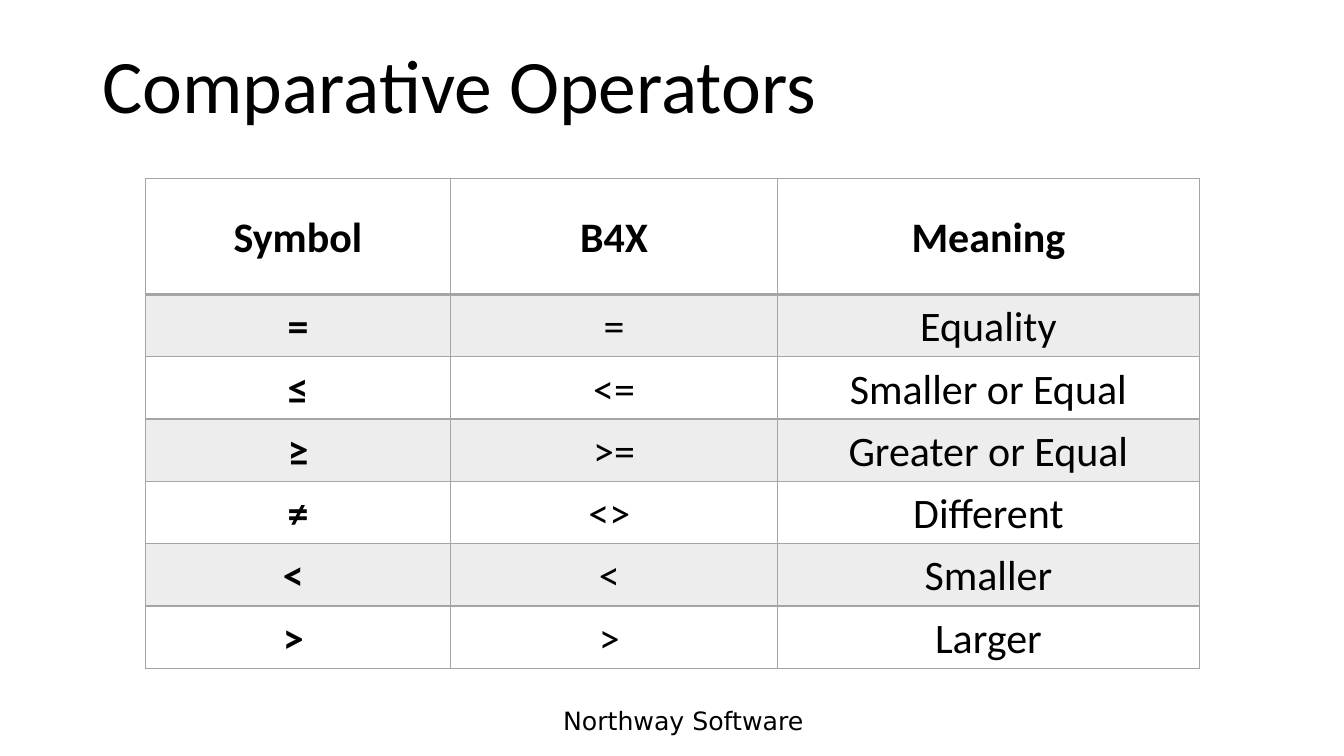
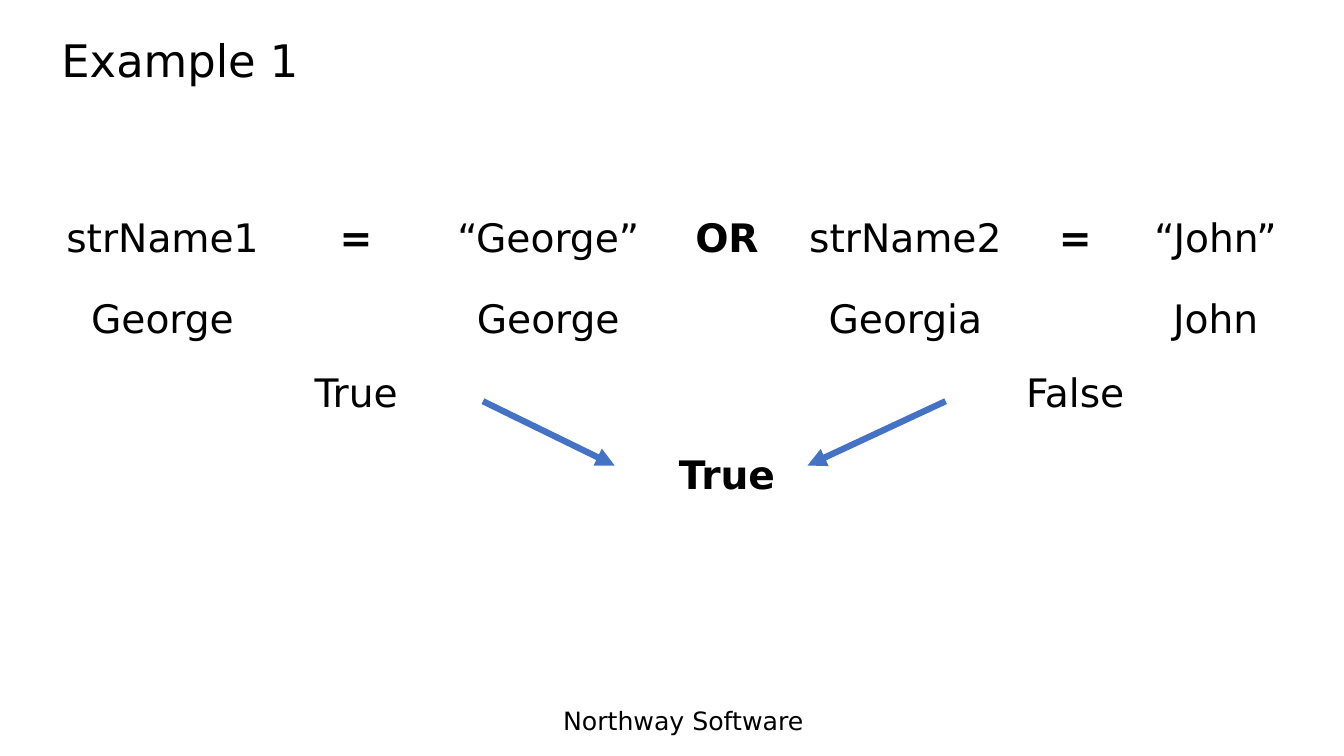
"""Build two slides on comparative operators: a reference table and a worked example."""
from dataclasses import dataclass, field

from lxml.etree import SubElement
from pptx import Presentation
from pptx.dml.color import RGBColor
from pptx.enum.shapes import MSO_CONNECTOR
from pptx.enum.text import MSO_ANCHOR, PP_ALIGN
from pptx.oxml.ns import qn
from pptx.slide import Slide
from pptx.table import _Cell as Cell
from pptx.util import Cm, Pt

BLACK = RGBColor(0x00, 0x00, 0x00)
GRID = RGBColor(0xA5, 0xA5, 0xA5)
BAND = RGBColor(0xED, 0xED, 0xED)
ARROW = RGBColor(0x44, 0x72, 0xC4)
BODY_FONT = "DejaVu Sans"
TITLE_FONT = "Calibri"
FOOTER = "Northway Software"
PLAIN_TABLE = "{2D5ABB26-0587-4C30-8999-92F81FD0307C}"


@dataclass(frozen=True)
class Label:
    text: str
    box: tuple[float, float, float, float]
    size: int
    font: str = BODY_FONT
    anchor: MSO_ANCHOR = MSO_ANCHOR.TOP
    spacing: float = 1.0


@dataclass(frozen=True)
class Grid:
    left: float
    top: float
    widths: list[float]
    heights: list[float]
    rows: list[list[str]]
    size: int
    font: str
    inset: float
    after: int
    anchor: MSO_ANCHOR = MSO_ANCHOR.TOP
    ruled: bool = False
    bold: set[tuple[int, int]] = field(default_factory=set)


@dataclass(frozen=True)
class Arrow:
    start: tuple[float, float]
    end: tuple[float, float]


FOOTER_LABEL = Label(FOOTER, (13.94, 17.65, 7.37, 1.02), 18)

OPERATORS_TITLE = Label("Comparative Operators", (2.33, 0.81, 29.21, 2.59), 54,
                        TITLE_FONT, MSO_ANCHOR.BOTTOM, 0.9)
OPERATORS = Grid(
    3.66, 4.5, [7.7, 8.23, 10.64], [2.92] + [1.57] * 6,
    [
        ["Symbol", "B4X", "Meaning"],
        ["=", "=", "Equality"],
        ["≤", "<=", "Smaller or Equal"],
        ["≥", ">=", "Greater or Equal"],
        ["≠", "<> ", "Different"],
        ["< ", "< ", "Smaller"],
        ["> ", "> ", "Larger"],
    ],
    30, TITLE_FONT, 0.58, 6, MSO_ANCHOR.MIDDLE, True,
    {(0, 1), (0, 2)} | {(row, 0) for row in range(7)},
)

EXAMPLE_TITLE = Label("Example 1", (1.3, 0.38, 30.25, 2.41), 32,
                      BODY_FONT, MSO_ANCHOR.MIDDLE, 0.9)
EXAMPLE = Grid(
    1.3, 5.36, [5.59, 4.17, 5.51, 3.5, 5.49, 3.07, 4.01], [2.06, 1.85] * 2,
    [
        ["strName1", "=", "“George”", "OR", "strName2", "=", "“John”"],
        ["George", "", "George", "", "Georgia", "", "John"],
        ["", "True", "", "", "", "False", ""],
        ["", "", "", "True", "", "", ""],
    ],
    28, BODY_FONT, 0.18, 8, bold={(0, 1), (0, 3), (0, 5), (3, 3)},
)
ARROWS = [
    Arrow((12.17, 10.11), (15.49, 11.73)),
    Arrow((23.83, 10.11), (20.35, 11.73)),
]


def style_runs(p, size: int, font: str, bold: bool = False) -> None:
    for r in p.runs:
        r.font.size = Pt(size)
        r.font.name = font
        r.font.bold = bold
        r.font.color.rgb = BLACK


def add_label(s: Slide, label: Label) -> None:
    tf = s.shapes.add_textbox(*map(Cm, label.box)).text_frame
    tf.word_wrap = True
    tf.vertical_anchor = label.anchor
    tf.text = label.text
    p = tf.paragraphs[0]
    p.line_spacing = label.spacing
    style_runs(p, label.size, label.font)


def rule_cell(cell: Cell, row: int) -> None:
    widths = {"L": 1, "R": 1, "T": 2 if row == 1 else 1, "B": 2 if row == 0 else 1}
    for side, width in widths.items():
        ln = SubElement(cell._tc.get_or_add_tcPr(), qn(f"a:ln{side}"), w=str(Pt(width)))
        SubElement(SubElement(ln, qn("a:solidFill")), qn("a:srgbClr"), val=str(GRID))


def fill_cell(cell: Cell, grid: Grid, row: int, col: int) -> None:
    cell.margin_left = cell.margin_right = Cm(grid.inset)
    cell.margin_top = cell.margin_bottom = 0
    cell.vertical_anchor = grid.anchor
    if grid.ruled:
        rule_cell(cell, row)
    if grid.ruled and row % 2:
        cell.fill.solid()
        cell.fill.fore_color.rgb = BAND
    else:
        cell.fill.background()
    if text := grid.rows[row][col]:
        cell.text_frame.text = text
        p = cell.text_frame.paragraphs[0]
        p.alignment = PP_ALIGN.CENTER
        p.line_spacing = 1.07
        p.space_after = Pt(grid.after)
        style_runs(p, grid.size, grid.font, (row, col) in grid.bold)


def add_grid(s: Slide, grid: Grid) -> None:
    sp = s.shapes.add_table(
        len(grid.heights), len(grid.widths), Cm(grid.left), Cm(grid.top),
        Cm(sum(grid.widths)), Cm(sum(grid.heights)))
    table = sp.table
    table.horz_banding = False
    table.first_row = grid.ruled
    table._tbl.tblPr.find(qn("a:tableStyleId")).text = PLAIN_TABLE
    for column, width in zip(table.columns, grid.widths):
        column.width = Cm(width)
    for row, height in enumerate(grid.heights):
        table.rows[row].height = Cm(height)
        for col in range(len(grid.widths)):
            fill_cell(table.cell(row, col), grid, row, col)


def add_arrow(s: Slide, arrow: Arrow) -> None:
    sp = s.shapes.add_connector(MSO_CONNECTOR.STRAIGHT, *map(Cm, arrow.start + arrow.end))
    sp.line.color.rgb = ARROW
    sp.line.width = Pt(4.5)
    SubElement(sp.line._get_or_add_ln(), qn("a:tailEnd"), type="triangle")
    SubElement(sp._element.spPr, qn("a:effectLst"))


def add_slide(prs, title: Label, grid: Grid) -> Slide:
    s = prs.slides.add_slide(prs.slide_layouts[6])
    add_label(s, FOOTER_LABEL)
    add_label(s, title)
    add_grid(s, grid)
    return s


def main() -> None:
    prs = Presentation()
    prs.slide_width, prs.slide_height = Cm(33.87), Cm(19.05)
    add_slide(prs, OPERATORS_TITLE, OPERATORS)
    s = add_slide(prs, EXAMPLE_TITLE, EXAMPLE)
    for arrow in ARROWS:
        add_arrow(s, arrow)
    prs.save("out.pptx")


if __name__ == "__main__":
    main()
